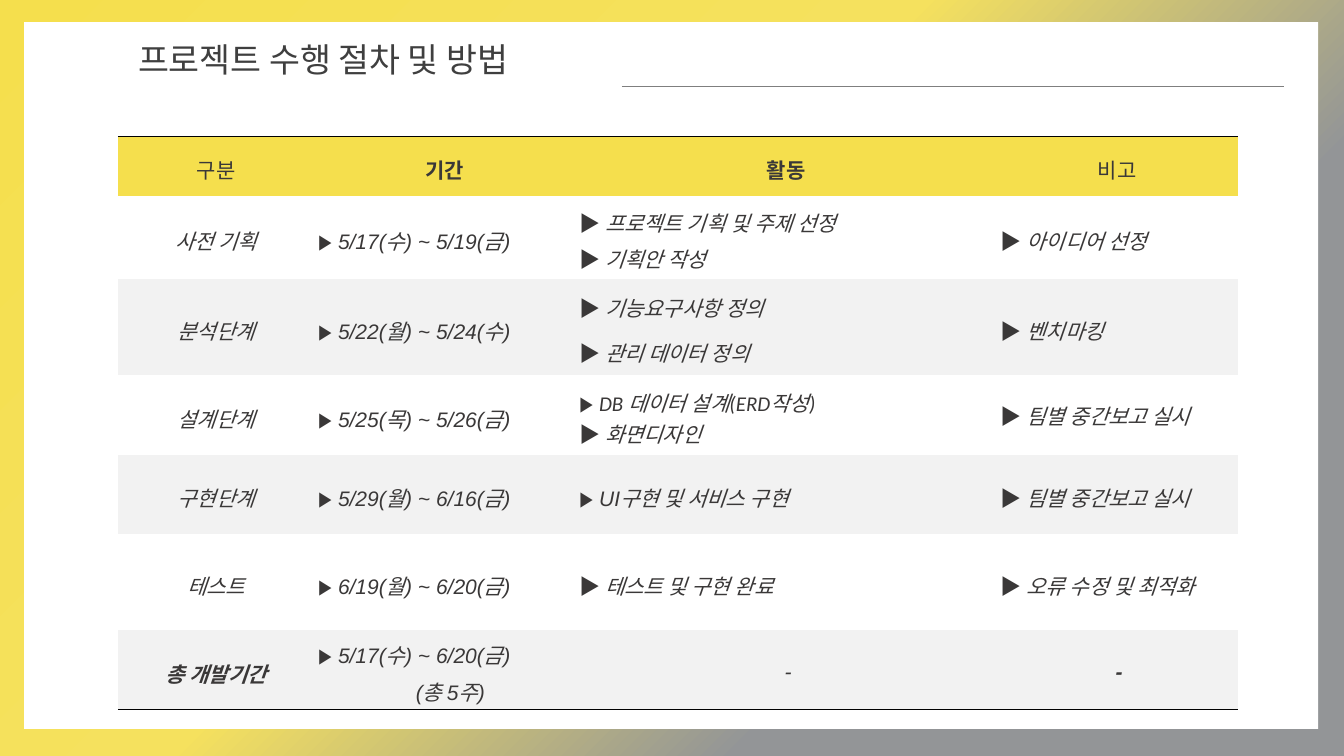
from collections import namedtuple
from dataclasses import dataclass

from lxml import etree
from pptx import Presentation
from pptx.dml.color import RGBColor
from pptx.enum.shapes import MSO_CONNECTOR, MSO_SHAPE
from pptx.enum.text import MSO_ANCHOR, MSO_AUTO_SIZE, PP_ALIGN
from pptx.oxml.ns import qn
from pptx.util import Cm, Pt

RECTANGLE = MSO_SHAPE.RECTANGLE
STRAIGHT = MSO_CONNECTOR.STRAIGHT
MIDDLE = MSO_ANCHOR.MIDDLE
GROW = MSO_AUTO_SIZE.SHAPE_TO_FIT_TEXT
LEFT, CENTER = PP_ALIGN.LEFT, PP_ALIGN.CENTER
PLAIN_TABLE = "{2D5ABB26-0587-4C30-8999-92F81FD0307C}"


@dataclass(frozen=True)
class Theme:
    font: str = "Arial"
    latin: str = "Calibri"
    korean: str = "Noto Sans CJK KR"
    title_size: float = 24
    body_size: float = 15
    title: str = "3F3F3F"
    body: str = "3A3838"
    rule: str = "7F7F7F"
    border: str = "000000"
    header: str = "F5DF4D"
    panel: str = "FFFFFF"
    band: str = "F2F2F2"
    gradient: tuple = ((0, "F5DF4D", 100), (44, "F5E15E", 69),
                       (71, "939597", 69), (100, "939597", 100))


THEME = Theme()
Entry = namedtuple("Entry", "text font mark bold spacing before indent",
                   defaults=(THEME.font, True, False, 1.2, 0, 0))


def label(text, font=THEME.font, bold=False):
    return [Entry(text, font, mark=False, bold=bold)]


def apply(target, values):
    for name, value in values.items():
        setattr(target, name, value)


class SlideBuilder:
    def __init__(self, slide, theme):
        self.slide = slide
        self.theme = theme

    def background(self):
        fill = self.slide.background.fill
        fill.gradient()
        fill.gradient_angle = 315
        stops = next(self.slide.element.iter(qn("a:gsLst")))
        for stop in list(stops):
            stops.remove(stop)
        for position, color, opacity in self.theme.gradient:
            stop = etree.SubElement(stops, qn("a:gs"), pos=str(position * 1000))
            shade = etree.SubElement(stop, qn("a:srgbClr"), val=color)
            if opacity < 100:
                etree.SubElement(shade, qn("a:alpha"), val=str(opacity * 1000))

    def panel(self, left, top, width, height):
        panel = self.slide.shapes.add_shape(
            RECTANGLE, Cm(left), Cm(top), Cm(width), Cm(height))
        panel.shadow.inherit = False
        panel.fill.solid()
        panel.fill.fore_color.rgb = RGBColor.from_string(self.theme.panel)
        panel.line.fill.background()

    def rule(self, left, right, height):
        rule = self.slide.shapes.add_connector(
            STRAIGHT, Cm(left), Cm(height), Cm(right), Cm(height))
        rule.line.color.rgb = RGBColor.from_string(self.theme.rule)
        rule.line.width = Pt(1)
        etree.SubElement(rule.element.spPr, qn("a:effectLst"))

    def run(self, paragraph, text, color, **formats):
        run = paragraph.add_run()
        run.text = text
        apply(run.font, formats)
        run.font.color.rgb = RGBColor.from_string(color)
        latin = run.font._element.find(qn("a:latin"))
        latin.addnext(etree.Element(qn("a:ea"), typeface=self.theme.korean))

    def title(self, text, left, top, width, height):
        frame = self.slide.shapes.add_textbox(
            Cm(left), Cm(top), Cm(width), Cm(height)).text_frame
        apply(frame, {"word_wrap": True, "auto_size": GROW})
        self.run(frame.paragraphs[0], text, self.theme.title,
                 name=self.theme.font, size=Pt(self.theme.title_size))

    def cell(self, cell, entries, color, centered, tight, italic):
        apply(cell, {"vertical_anchor": MIDDLE})
        if tight:
            apply(cell, {"margin_left": Cm(0.1), "margin_right": 0,
                         "margin_top": 0, "margin_bottom": 0})
        cell.fill.solid()
        cell.fill.fore_color.rgb = RGBColor.from_string(color)
        size = Pt(self.theme.body_size)
        for index, entry in enumerate(entries):
            frame = cell.text_frame
            paragraph = frame.add_paragraph() if index else frame.paragraphs[0]
            apply(paragraph, {"alignment": CENTER if centered else LEFT,
                              "line_spacing": entry.spacing,
                              "space_before": Pt(entry.before)})
            if entry.indent:
                paragraph._p.get_or_add_pPr().set("marL", str(Cm(entry.indent)))
            if entry.mark:
                self.run(paragraph, "▶ ", self.theme.body, size=size,
                         name=self.theme.font, bold=True, italic=False)
            self.run(paragraph, entry.text, self.theme.body, size=size,
                     name=entry.font, bold=entry.bold, italic=italic)

    def border(self, cell, side):
        line = etree.Element(qn(side), w=str(Pt(0.75)))
        fill = etree.SubElement(line, qn("a:solidFill"))
        etree.SubElement(fill, qn("a:srgbClr"), val=self.theme.border)
        cell._tc.get_or_add_tcPr().insert(0, line)

    def schedule(self, rows, left, top, widths, heights):
        table = self.slide.shapes.add_table(
            len(rows), len(widths), Cm(left), Cm(top),
            Cm(sum(widths)), Cm(sum(heights))).table
        apply(table, {"first_row": False, "horz_banding": False})
        next(table._tbl.iter(qn("a:tableStyleId"))).text = PLAIN_TABLE
        for column, width in zip(table.columns, widths):
            column.width = Cm(width)
        last = len(rows) - 1
        for r, (phase, height) in enumerate(zip(rows, heights)):
            table.rows[r].height = Cm(height)
            color = self.theme.band if r % 2 == 0 else self.theme.panel
            if r == 0:
                color = self.theme.header
            for c, entries in enumerate(phase):
                cell = table.cell(r, c)
                centered = r == 0 or c == 0 or (r == last and c > 1)
                self.cell(cell, entries, color, centered,
                          tight=r > 0 and c > 0, italic=r > 0)
                if r in (0, last):
                    self.border(cell, "a:lnB" if r else "a:lnT")


LATIN, KOREAN = THEME.latin, THEME.korean
PHASES = [
    [label("구분"), label("기간", bold=True), label("활동", bold=True), label("비고")],
    [label("사전 기획"), [Entry("5/17(수) ~ 5/19(금)")],
     [Entry("프로젝트 기획 및 주제 선정"), Entry("기획안 작성")],
     [Entry("아이디어 선정")]],
    [label("분석단계", LATIN), [Entry("5/22(월) ~ 5/24(수)")],
     [Entry("기능요구사항 정의", LATIN), Entry("관리 데이터 정의", KOREAN, before=6)],
     [Entry("벤치마킹", LATIN)]],
    [label("설계단계", LATIN), [Entry("5/25(목) ~ 5/26(금)")],
     [Entry("DB 데이터 설계(ERD작성)", LATIN), Entry("화면디자인", spacing=1.0)],
     [Entry("팀별 중간보고 실시", KOREAN, spacing=1.0)]],
    [label("구현단계", LATIN), [Entry("5/29(월) ~ 6/16(금)")],
     [Entry("UI구현 및 서비스 구현")], [Entry("팀별 중간보고 실시", LATIN)]],
    [label("테스트", LATIN), [Entry("6/19(월) ~ 6/20(금)")],
     [Entry("테스트 및 구현 완료")], [Entry("오류 수정 및 최적화")]],
    [label("총 개발기간", bold=True),
     [Entry("5/17(수) ~ 6/20(금)"), Entry("(총 5주)", mark=False, indent=2.46)],
     label("-"), label("-", bold=True)],
]


def main():
    deck = Presentation()
    apply(deck, {"slide_width": Cm(33.87), "slide_height": Cm(19.05)})
    builder = SlideBuilder(deck.slides.add_slide(deck.slide_layouts[6]), THEME)
    builder.background()
    builder.panel(0.61, 0.56, 32.61, 17.81)
    builder.schedule(PHASES, 2.97, 3.43, (4.95, 6.58, 10.62, 6.07),
                     (1.5, 2.11, 2.41, 2.01, 2.01, 2.41, 2.01))
    builder.title("프로젝트 수행 절차 및 방법", 3.23, 0.86, 11.63, 1.27)
    builder.rule(15.67, 32.36, 2.18)
    deck.save("out.pptx")


if __name__ == "__main__":
    main()
